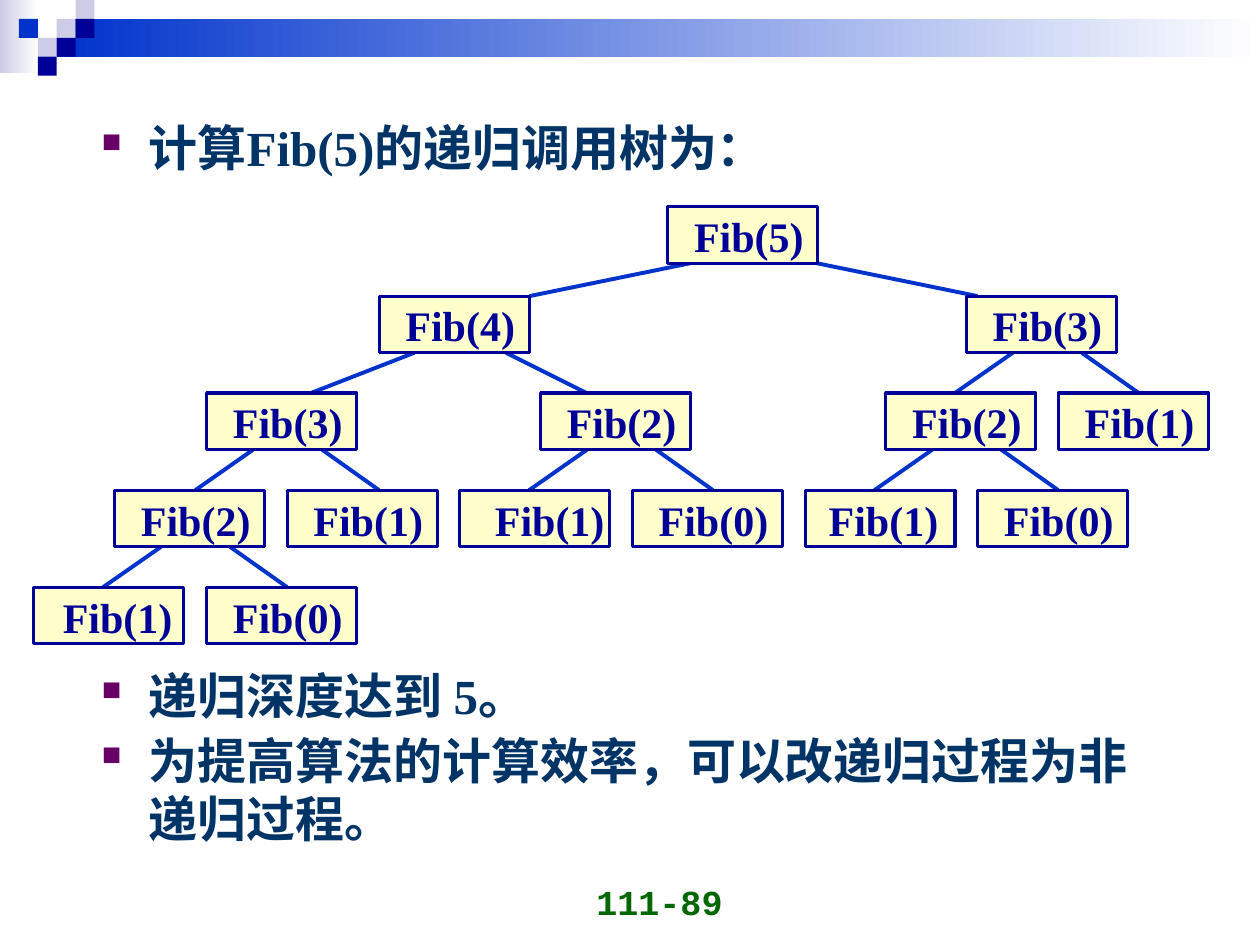
from dataclasses import dataclass

from lxml import etree
from pptx import Presentation
from pptx.dml.color import RGBColor as Rgb
from pptx.enum.lang import MSO_LANGUAGE_ID as Lang
from pptx.enum.shapes import MSO_CONNECTOR as Conn, MSO_SHAPE as Kind
from pptx.enum.text import MSO_ANCHOR as Anchor, PP_ALIGN as Align
from pptx.oxml.ns import qn
from pptx.util import Pt


@dataclass(frozen=True)
class Theme:
    royal: str = "0033CC"
    navy: str = "000099"
    lilac: str = "CCCCE6"
    white: str = "FFFFFF"
    cream: str = "FFFFCC"
    ink: str = "003366"
    plum: str = "660066"
    green: str = "006600"
    serif: str = "Times New Roman"
    sans: str = "Arial"
    mono: str = "Courier New"
    body: int = 28
    label: int = 24
    foot: int = 20


theme = Theme()


def box(x, y, w, h, *fills):
    """Add a plain rectangle; two fills make a left-to-right gradient."""
    shape = slide.shapes.add_shape(Kind.RECTANGLE, Pt(x), Pt(y), Pt(w), Pt(h))
    shape.shadow.inherit = False
    shape.line.fill.background()
    if len(fills) == 1:
        shape.fill.solid()
        shape.fill.fore_color.rgb = Rgb.from_string(fills[0])
    else:
        shape.fill.gradient()
        shape.fill.gradient_angle = 0
        for stop, tint in zip(shape.fill.gradient_stops, fills):
            stop.color.rgb = Rgb.from_string(tint)
    return shape


def write(para, text, size, face, tint, align=Align.LEFT):
    """Fill a paragraph with one bold run."""
    para.alignment = align
    run = para.add_run()
    run.text = text
    form = {"size": Pt(size), "name": face, "bold": True,
            "language_id": Lang.SIMPLIFIED_CHINESE}
    for key, value in form.items():
        setattr(run.font, key, value)
    run.font.color.rgb = Rgb.from_string(tint)


deck = Presentation()
deck.slide_width, deck.slide_height = Pt(720), Pt(540)
slide = deck.slides.add_slide(deck.slide_layouts[6])

# Header bands and checker squares
box(0, 0, 22, 42, theme.lilac, theme.white)
box(32.4, 10.8, 687.6, 21.6, theme.royal, theme.white)
unit = 10.8
squares = [(3, 1, theme.lilac), (4, 0, theme.lilac), (4, 1, theme.navy),
           (2, 2, theme.lilac), (1, 1, theme.royal), (3, 2, theme.navy),
           (2, 3, theme.navy)]
for col, row, tint in squares:
    box(col * unit, row * unit, unit, unit, tint)

# Page number
foot = slide.shapes.add_textbox(Pt(252), Pt(494.6), Pt(168), Pt(36)).text_frame
foot.word_wrap = True
foot.vertical_anchor = Anchor.BOTTOM
write(foot.paragraphs[0], "111-89", theme.foot, theme.mono, theme.green,
      Align.RIGHT)

# Bulleted text above and below the tree
blocks = [
    (63.4, 45, [("计算Fib(5)的递归调用树为：", theme.serif)]),
    (376.5, 118, [("递归深度达到 5。", theme.serif),
                  ("为提高算法的计算效率，可以改递归过程为非递归过程。", theme.sans)]),
]
for top, high, items in blocks:
    frame = slide.shapes.add_textbox(Pt(51), Pt(top), Pt(611.5), Pt(high)).text_frame
    frame.word_wrap = True
    for i, (text, face) in enumerate(items):
        para = frame.add_paragraph() if i else frame.paragraphs[0]
        props = para._p.get_or_add_pPr()
        props.set("marL", str(Pt(27)))
        props.set("indent", str(Pt(-27)))
        color = etree.SubElement(props, qn("a:buClr"))
        etree.SubElement(color, qn("a:srgbClr"), val=theme.plum)
        etree.SubElement(props, qn("a:buSzPct"), val="55000")
        etree.SubElement(props, qn("a:buChar"), char="■")
        if i:
            para.space_before = Pt(3.5)
        write(para, text, theme.body, face, theme.ink)

# Call tree: node argument, left edge and text inset, level by level
wide, high = 85.7, 32.4
tops = [118, 169.2, 224.6, 280.1, 335.5]
levels = [
    [(5, 381.6, 15)],
    [(4, 216.7, 15), (3, 552.2, 15)],
    [(3, 118.1, 15), (2, 308.9, 15), (2, 506.2, 15), (1, 604.8, 15)],
    [(n, 65.5 + 98.64 * i, inset) for i, (n, inset) in enumerate(
        [(2, 15), (1, 15), (1, 20), (0, 15), (1, 13.5), (0, 15)])],
    [(1, 19.4, 16.5), (0, 118.1, 15)],
]

# Branches: start and end offsets from the parent's left edge
near = [(26.5, -6.5), (66, 98.5)]
spans = {5: [(13, -79), (85, 177)], 4: [(20, -39), (72.5, 118.5)]}
for level, top, below in zip(levels, tops, tops[1:]):
    for n, left, inset in level:
        if n < 2:
            continue
        for start, end in spans.get(n, near):
            link = slide.shapes.add_connector(
                Conn.STRAIGHT, Pt(left + start), Pt(top + high),
                Pt(left + end), Pt(below))
            link.line.color.rgb = Rgb.from_string(theme.royal)
            link.line.width = Pt(2.25)
            etree.SubElement(link._element.spPr, qn("a:effectLst"))

# Nodes
for level, top in zip(levels, tops):
    for n, left, inset in level:
        node = box(left, top, wide, high, theme.cream)
        node.line.color.rgb = Rgb.from_string(theme.navy)
        node.line.width = Pt(1.75)
        frame = node.text_frame
        form = {"margin_left": Pt(inset), "margin_right": 0,
                "margin_top": Pt(2.2), "margin_bottom": 0,
                "vertical_anchor": Anchor.TOP, "word_wrap": True}
        for key, value in form.items():
            setattr(frame, key, value)
        write(frame.paragraphs[0], f"Fib({n})", theme.label, theme.serif,
              theme.navy)

deck.save("out.pptx")
